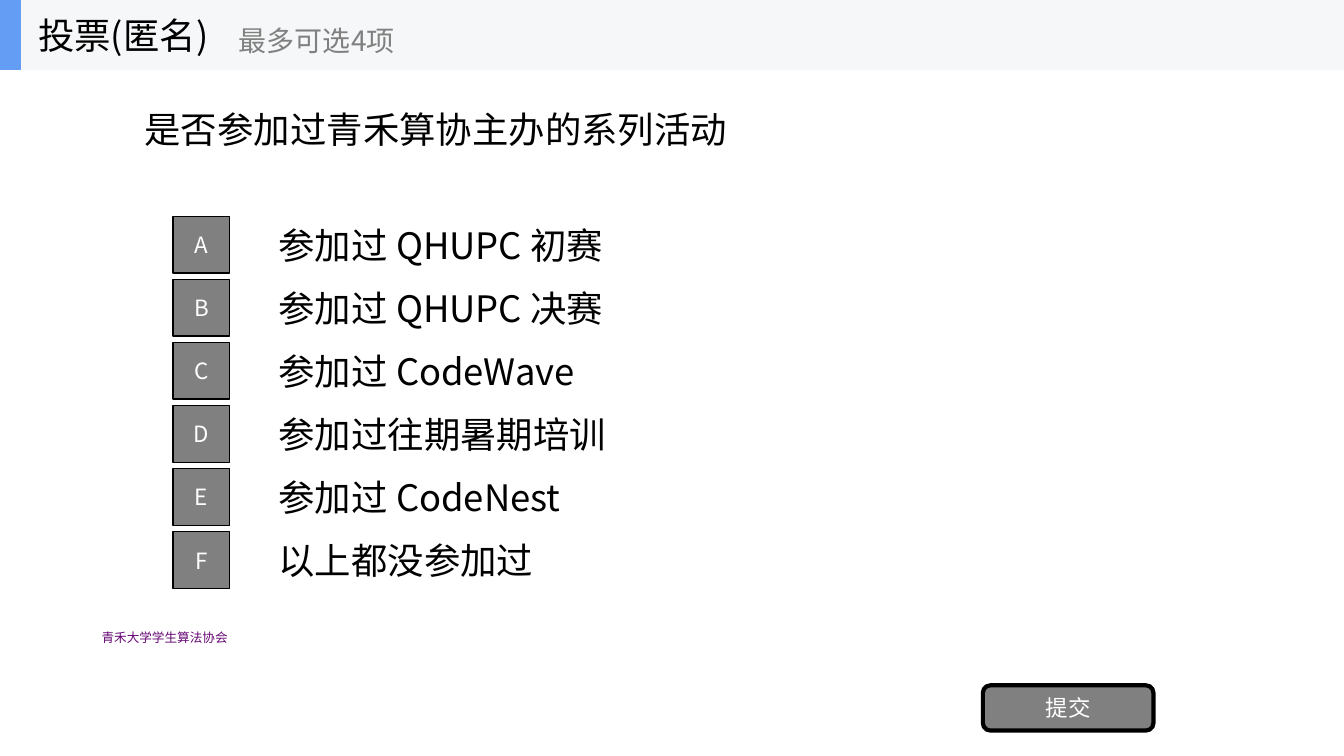
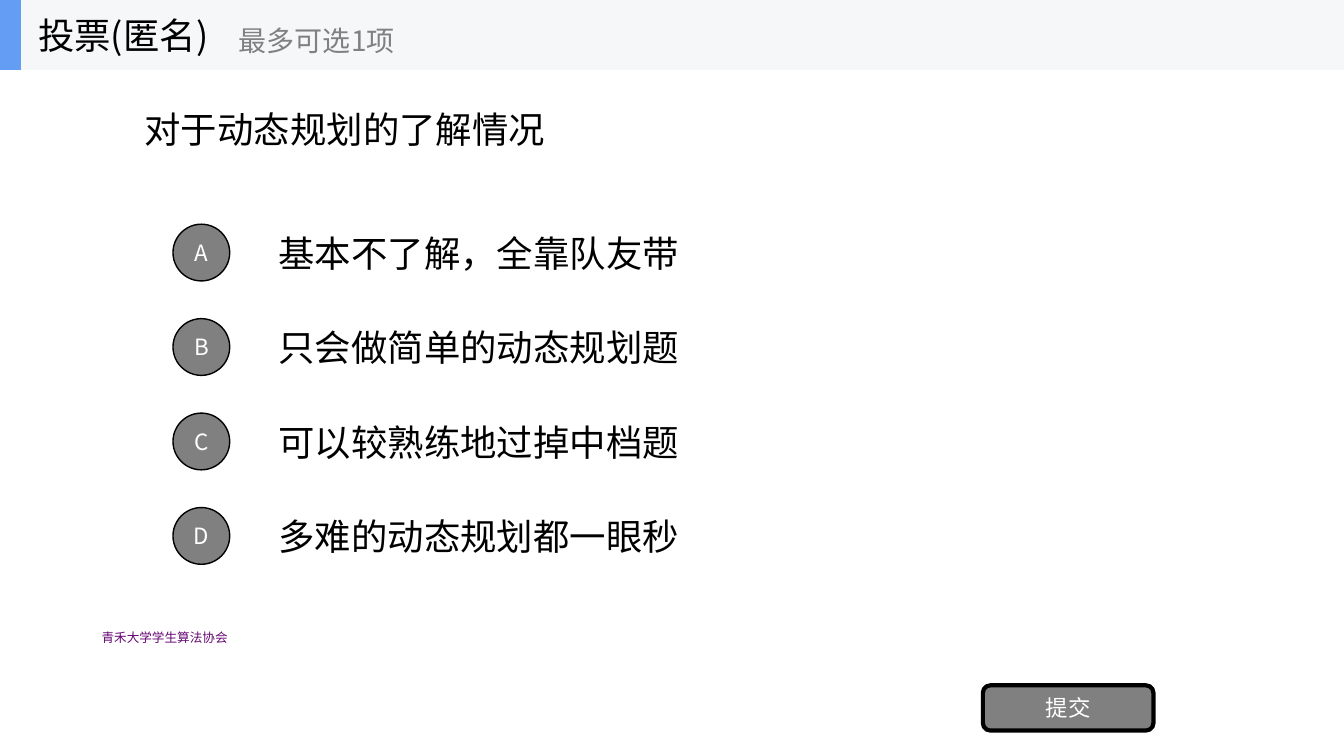
"""Build two anonymous poll slides that share one header, footer and button."""
from dataclasses import dataclass

from lxml import etree
from pptx import Presentation
from pptx.dml.color import RGBColor
from pptx.enum.shapes import MSO_SHAPE
from pptx.enum.text import MSO_ANCHOR, MSO_AUTO_SIZE, PP_ALIGN
from pptx.oxml.ns import qn
from pptx.presentation import Presentation as Deck
from pptx.shapes.autoshape import Shape
from pptx.shapes.shapetree import GroupShapes, SlideShapes
from pptx.util import Cm, Pt

RECTANGLE = MSO_SHAPE.RECTANGLE
ROUNDED = MSO_SHAPE.ROUNDED_RECTANGLE
OVAL = MSO_SHAPE.OVAL
MIDDLE = MSO_ANCHOR.MIDDLE
NO_AUTOFIT = MSO_AUTO_SIZE.NONE
LEFT = PP_ALIGN.LEFT
CENTER = PP_ALIGN.CENTER

TITLE_ONLY = 5
PAGE_WIDTH, PAGE_HEIGHT = 33.87, 19.05
BAND_HEIGHT = 1.76
OPTION_HEIGHT = 1.77
BADGE_SIZE = 1.43

BLACK, WHITE, GRAY = "000000", "FFFFFF", "808080"
BAND, ACCENT, PURPLE = "F6F7F8", "639EF4", "660874"
CHINESE_FONT, FOOTER_FONT = "Noto Sans CJK SC", "Calibri"

Shapes = SlideShapes | GroupShapes


@dataclass(frozen=True)
class Area:
    """Position and size in centimetres."""
    left: float
    top: float
    width: float
    height: float

    def lengths(self) -> tuple[Cm, Cm, Cm, Cm]:
        """Return the four measures as lengths."""
        return Cm(self.left), Cm(self.top), Cm(self.width), Cm(self.height)


@dataclass(frozen=True)
class TextStyle:
    """Look of a piece of text."""
    size: float
    color: str = BLACK
    font: str = CHINESE_FONT
    align: PP_ALIGN = LEFT


@dataclass(frozen=True)
class Poll:
    """Question, answers and the rhythm of the answer rows."""
    question: str
    limit: int
    badge: MSO_SHAPE
    first_top: float
    pitch: float
    options: tuple[str, ...]


BODY = TextStyle(26)
HINT = TextStyle(20, GRAY)
LABEL = TextStyle(16, WHITE, align=CENTER)
FOOTER = TextStyle(9, PURPLE, FOOTER_FONT)

POLLS = (
    Poll("是否参加过青禾算协主办的系列活动", 4, RECTANGLE, 5.28, 1.59,
         ("参加过 QHUPC 初赛", "参加过 QHUPC 决赛", "参加过 CodeWave",
          "参加过往期暑期培训", "参加过 CodeNest", "以上都没参加过")),
    Poll("对于动态规划的了解情况", 1, OVAL, 5.48, 2.38,
         ("基本不了解，全靠队友带", "只会做简单的动态规划题",
          "可以较熟练地过掉中档题", "多难的动态规划都一眼秒")),
)


def rgb(color: str) -> RGBColor:
    """Turn a hex string into a colour."""
    return RGBColor.from_string(color)


def write(box: Shape, text: str, style: TextStyle) -> None:
    """Write one styled line, vertically centred in its box."""
    frame = box.text_frame
    frame.word_wrap = True
    frame.auto_size = NO_AUTOFIT
    frame.vertical_anchor = MIDDLE
    para = frame.paragraphs[0]
    para.alignment = style.align
    span = para.add_run()
    span.text = text
    span.font.size = Pt(style.size)
    span.font.color.rgb = rgb(style.color)
    span.font.name = style.font
    east_asian = etree.SubElement(span.font._element, qn("a:ea"))
    east_asian.set("typeface", style.font)


def add_text(shapes: Shapes, area: Area, text: str, style: TextStyle) -> None:
    """Add a text box."""
    write(shapes.add_textbox(*area.lengths()), text, style)


def add_block(shapes: Shapes, kind: MSO_SHAPE, area: Area, fill: str,
              line_width: float = 0) -> Shape:
    """Add a flat filled shape, outlined when a line width is given."""
    block = shapes.add_shape(kind, *area.lengths())
    block.shadow.inherit = False
    block.fill.solid()
    block.fill.fore_color.rgb = rgb(fill)
    if line_width:
        block.line.color.rgb = rgb(BLACK)
        block.line.width = Pt(line_width)
    else:
        block.line.fill.background()
    return block


def add_header(shapes: SlideShapes, limit: int) -> None:
    """Add the grouped band with its heading and choice limit."""
    header = shapes.add_group_shape().shapes
    add_block(header, RECTANGLE, Area(0, 0, PAGE_WIDTH, BAND_HEIGHT), BAND)
    add_block(header, RECTANGLE, Area(0, 0, 0.53, BAND_HEIGHT), ACCENT)
    add_text(header, Area(0.71, 0, 5.8, BAND_HEIGHT), "投票(匿名)", BODY)
    add_text(header, Area(5.77, 0.31, 6.35, 1.43), f"最多可选{limit}项", HINT)


def add_options(shapes: SlideShapes, poll: Poll) -> None:
    """Add the lettered answer rows."""
    inset = (OPTION_HEIGHT - BADGE_SIZE) / 2
    for row, (letter, option) in enumerate(zip("ABCDEF", poll.options)):
        top = poll.first_top + row * poll.pitch
        add_text(shapes, Area(6.77, top, 23.71, OPTION_HEIGHT), option, BODY)
        badge_area = Area(4.36, top + inset, BADGE_SIZE, BADGE_SIZE)
        write(add_block(shapes, poll.badge, badge_area, GRAY, 1), letter, LABEL)


def add_poll(deck: Deck, poll: Poll) -> None:
    """Add one poll slide."""
    page = deck.slides.add_slide(deck.slide_layouts[TITLE_ONLY])
    shapes = page.shapes
    title = shapes.title
    title.left, title.top, title.width, title.height = Area(
        3.39, BAND_HEIGHT, 27.09, 2.99).lengths()
    write(title, poll.question, BODY)
    add_text(shapes, Area(2.31, 15.55, 18.29, 1.02), "青禾大学学生算法协会", FOOTER)
    add_options(shapes, poll)
    button = add_block(shapes, ROUNDED, Area(24.77, 17.27, 4.3, 1.14), GRAY, 3)
    write(button, "提交", LABEL)
    add_header(shapes, poll.limit)


def main() -> None:
    """Build and save the deck."""
    deck = Presentation()
    deck.slide_width, deck.slide_height = Cm(PAGE_WIDTH), Cm(PAGE_HEIGHT)
    for poll in POLLS:
        add_poll(deck, poll)
    deck.save("out.pptx")


if __name__ == "__main__":
    main()
